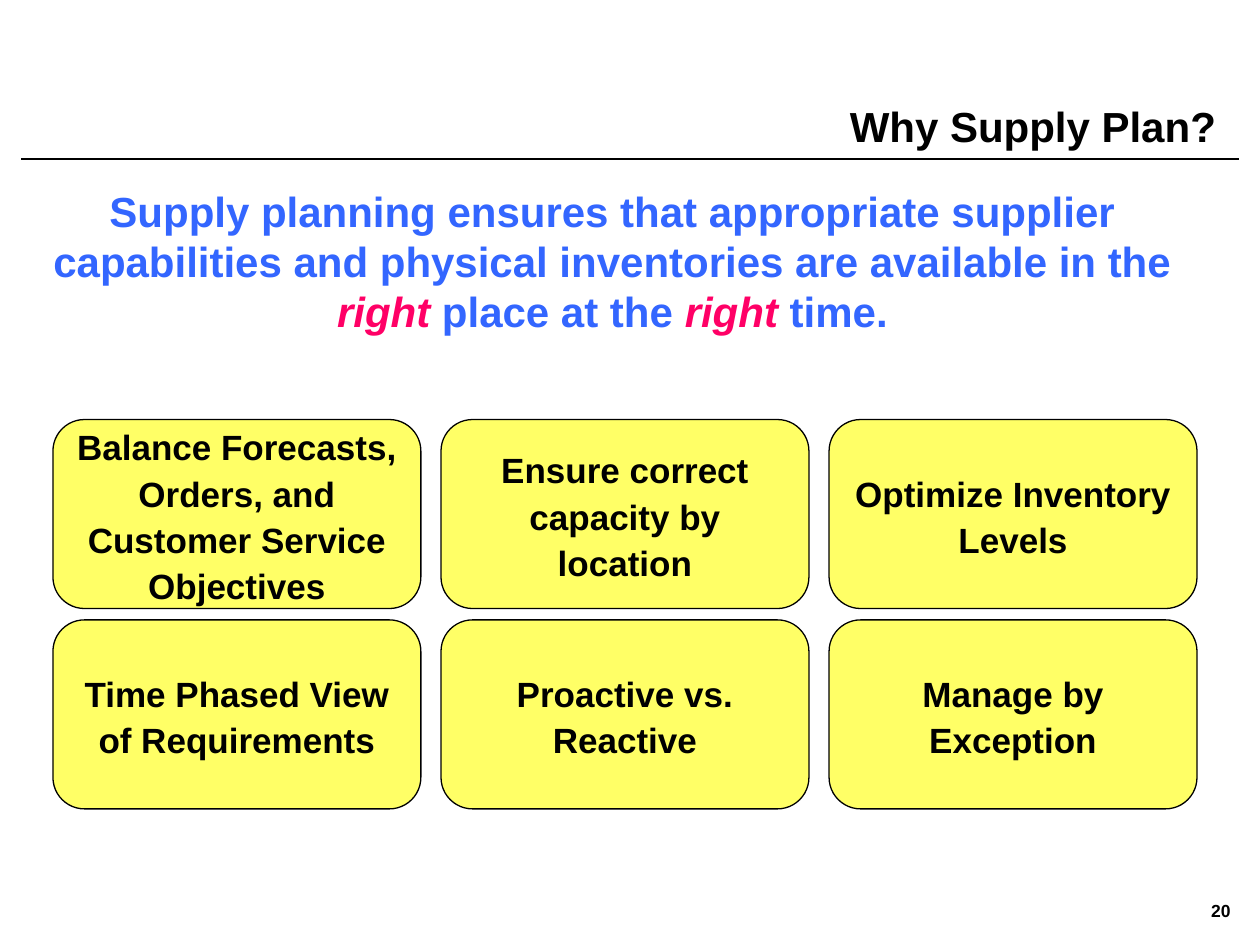
from lxml import etree
from pptx import Presentation
from pptx.dml.color import RGBColor
from pptx.enum.shapes import MSO_CONNECTOR, MSO_SHAPE
from pptx.enum.text import MSO_ANCHOR, PP_ALIGN
from pptx.oxml.ns import qn
from pptx.util import Inches, Pt

BOX = MSO_SHAPE.FLOWCHART_ALTERNATE_PROCESS
STRAIGHT = MSO_CONNECTOR.STRAIGHT
TOP, MIDDLE, BOTTOM = MSO_ANCHOR.TOP, MSO_ANCHOR.MIDDLE, MSO_ANCHOR.BOTTOM
CENTER, RIGHT = PP_ALIGN.CENTER, PP_ALIGN.RIGHT

COLORS = {"black": "000000", "blue": "3366FF", "pink": "FF0066", "yellow": "FFFF66"}
REASONS = [
    ["Balance Forecasts, Orders, and Customer Service Objectives",
     "Ensure correct capacity by location",
     "Optimize Inventory Levels"],
    ["Time Phased View of Requirements",
     "Proactive vs. Reactive",
     "Manage by Exception"],
]
MESSAGE = [
    ("Supply planning ensures that appropriate supplier capabilities and "
     "physical inventories are available in the ", False),
    ("right ", True),
    ("place at the ", False),
    ("right ", True),
    ("time.", False),
]


def rgb(name):
    """Return the named colour."""
    return RGBColor.from_string(COLORS[name])


def style_text(sp, size, align, anchor, spacing=1.0):
    """Set wrapping, anchor and bold Arial; return the paragraph."""
    tf = sp.text_frame
    tf.word_wrap = True
    tf.vertical_anchor = anchor
    p = tf.paragraphs[0]
    p.alignment = align
    p.line_spacing = spacing
    p.font.name = "Arial"
    p.font.size = Pt(size)
    p.font.bold = True
    p.font.color.rgb = rgb("black")
    return p


def add_text(s, left, top, width, height, size, align, anchor, spacing=1.0):
    """Add an empty styled text box and return its paragraph."""
    sp = s.shapes.add_textbox(Inches(left), Inches(top), Inches(width), Inches(height))
    return style_text(sp, size, align, anchor, spacing)


def add_rule(s):
    """Draw the line under the title."""
    line = s.shapes.add_connector(STRAIGHT, Inches(0.17), Inches(1.26),
                                  Inches(9.83), Inches(1.26))
    line.line.color.rgb = rgb("black")
    line.line.width = Pt(1)
    etree.SubElement(line._element.spPr, qn("a:effectLst"))


def add_message(s):
    """Add the blue statement with its emphasised words."""
    p = add_text(s, 0.17, 1.42, 9.38, 0.83, 24, CENTER, TOP)
    p.font.color.rgb = rgb("blue")
    for text, emphasis in MESSAGE:
        r = p.add_run()
        r.text = text
        if emphasis:
            r.font.italic = True
            r.font.color.rgb = rgb("pink")


def add_reason(s, left, top, text):
    """Add one yellow box."""
    sp = s.shapes.add_shape(BOX, Inches(left), Inches(top), Inches(2.92), Inches(1.5))
    sp.shadow.inherit = False
    sp.fill.solid()
    sp.fill.fore_color.rgb = rgb("yellow")
    sp.line.color.rgb = rgb("black")
    sp.line.width = Pt(0.75)
    style_text(sp, 20, CENTER, MIDDLE, 1.1).add_run().text = text


def main():
    """Build and save the slide."""
    prs = Presentation()
    prs.slide_width, prs.slide_height = Inches(10), Inches(7.5)
    s = prs.slides.add_slide(prs.slide_layouts[6])
    add_rule(s)
    add_text(s, 9.42, 7.01, 0.54, 0.44, 10, CENTER, MIDDLE).add_run().text = "20"
    title = add_text(s, 2.5, 0, 7.25, 1.25, 24, RIGHT, BOTTOM, 1.1)
    title.add_run().text = "Why Supply Plan?"
    add_message(s)
    for row, reasons in enumerate(REASONS):
        for col, text in enumerate(reasons):
            add_reason(s, 0.42 + col * 3.08, 3.33 + row * 1.59, text)
    prs.save("out.pptx")


if __name__ == "__main__":
    main()
